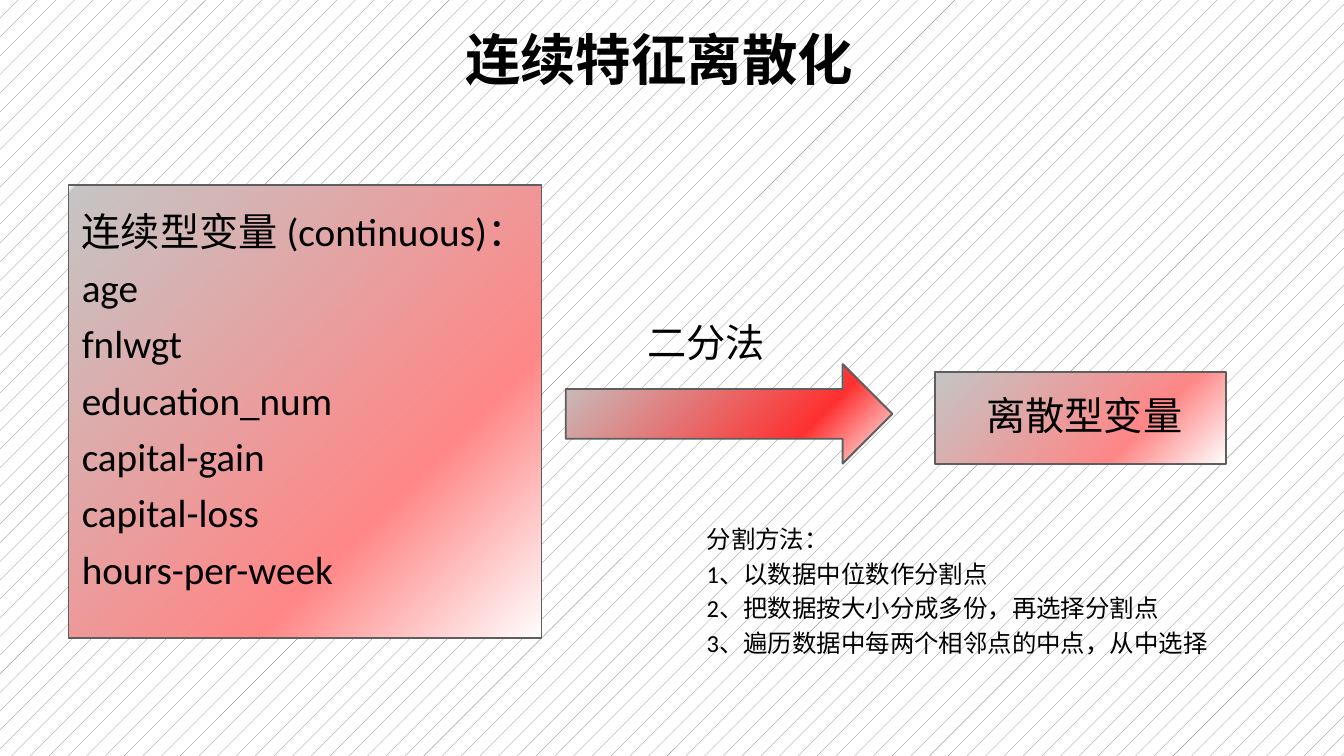
"""Build the slide on discretising continuous features."""
from lxml import etree
from pptx import Presentation
from pptx.dml.color import RGBColor
from pptx.enum.dml import MSO_PATTERN
from pptx.enum.shapes import MSO_SHAPE
from pptx.enum.text import MSO_ANCHOR, MSO_AUTO_SIZE, PP_ALIGN
from pptx.oxml.ns import qn
from pptx.util import Inches, Pt

RECTANGLE = MSO_SHAPE.RECTANGLE
RIGHT_ARROW = MSO_SHAPE.RIGHT_ARROW
PERCENT_5 = MSO_PATTERN.PERCENT_5
MIDDLE = MSO_ANCHOR.MIDDLE
TOP = MSO_ANCHOR.TOP
LEFT = PP_ALIGN.LEFT
NO_AUTOFIT = MSO_AUTO_SIZE.NONE

BLACK = RGBColor(0x00, 0x00, 0x00)
WHITE = RGBColor(0xFF, 0xFF, 0xFF)
HATCH = RGBColor(0x7F, 0x7F, 0x7F)
OUTLINE = RGBColor(0x5E, 0x5E, 0x5E)
SILVER = RGBColor(0xC5, 0xC5, 0xC5)
PINK = RGBColor(0xFF, 0x86, 0x86)
RED = RGBColor(0xFF, 0x30, 0x30)

FONT = "Calibri"
VARIABLES = [
    "连续型变量 (continuous)：", "age", "fnlwgt", "education_num",
    "capital-gain", "capital-loss", "hours-per-week",
]
SPLIT_METHODS = [
    "分割方法：",
    "1、以数据中位数作分割点",
    "2、把数据按大小分成多份，再选择分割点",
    "3、遍历数据中每两个相邻点的中点，从中选择",
]


def set_background(s):
    """Give the slide a fine grey hatch on white."""
    fill = s.background.fill
    fill.patterned()
    fill.pattern = PERCENT_5
    fill.fore_color.rgb = HATCH
    fill.back_color.rgb = WHITE


def set_corner_gradient(sp, color, position):
    """Fill a shape with a gradient spreading from its lower right corner."""
    sp.fill.gradient()
    grad = sp._element.spPr.find(qn("a:gradFill"))
    for child in list(grad):
        grad.remove(child)
    stops = etree.SubElement(grad, qn("a:gsLst"))
    for pos, rgb, alpha in [(0, WHITE, 100), (position, color, 100),
                            (99, SILVER, 100), (100, WHITE, 38),
                            (100, SILVER, 100)]:
        stop = etree.SubElement(stops, qn("a:gs"), pos=str(pos * 1000))
        clr = etree.SubElement(stop, qn("a:srgbClr"), val=str(rgb))
        if alpha < 100:
            etree.SubElement(clr, qn("a:alpha"), val=str(alpha * 1000))
    circle = etree.SubElement(grad, qn("a:path"), path="circle")
    etree.SubElement(circle, qn("a:fillToRect"), l="100000", t="100000")


def add_gradient_shape(s, kind, box, color, position):
    """Add an outlined preset shape with a corner gradient."""
    sp = s.shapes.add_shape(kind, *map(Inches, box))
    sp.shadow.inherit = False
    set_corner_gradient(sp, color, position)
    sp.line.color.rgb = OUTLINE
    sp.line.width = Pt(1)


def write_lines(tf, lines, size, spacing=0.9, before=7.5, bold=False, anchor=TOP):
    """Write left-aligned paragraphs in one style."""
    tf.text = "\n".join(lines)
    tf.word_wrap = True
    tf.auto_size = NO_AUTOFIT
    tf.vertical_anchor = anchor
    for p in tf.paragraphs:
        p.alignment = LEFT
        p.line_spacing = spacing
        p.space_before = Pt(before)
        for r in p.runs:
            r.font.name = FONT
            r.font.size = Pt(size)
            r.font.bold = bold
            r.font.color.rgb = BLACK


def set_title(s, text, box):
    """Place and format the title placeholder."""
    title = s.shapes.title
    title.left, title.top, title.width, title.height = map(Inches, box)
    write_lines(title.text_frame, [text], 29.7, before=0, bold=True, anchor=MIDDLE)


def add_text(s, lines, box, size=21, spacing=0.9):
    """Add a text box holding the given lines."""
    sp = s.shapes.add_textbox(*map(Inches, box))
    write_lines(sp.text_frame, lines, size, spacing)


def main():
    """Create the presentation and save it."""
    prs = Presentation()
    prs.slide_width, prs.slide_height = Inches(10), Inches(10 * 9 / 16)
    s = prs.slides.add_slide(prs.slide_layouts[5])
    set_background(s)
    add_gradient_shape(s, RECTANGLE, (6.96, 2.77, 2.16, 0.68), PINK, 31)
    add_gradient_shape(s, RECTANGLE, (0.51, 1.38, 3.52, 3.37), PINK, 31)
    set_title(s, "连续特征离散化", (3.36, 0.23, 8.62, 0.47))
    add_text(s, VARIABLES, (0.51, 1.53, 4.25, 4.01))
    add_text(s, ["离散型变量"], (7.24, 2.9, 2.16, 0.54))
    add_gradient_shape(s, RIGHT_ARROW, (4.21, 2.71, 2.43, 0.74), RED, 28)
    add_text(s, ["二分法"], (4.72, 2.36, 2.16, 0.54))
    add_text(s, SPLIT_METHODS, (5.16, 3.91, 4.39, 1.29), 13.1, 0.7)
    prs.save("out.pptx")


if __name__ == "__main__":
    main()
